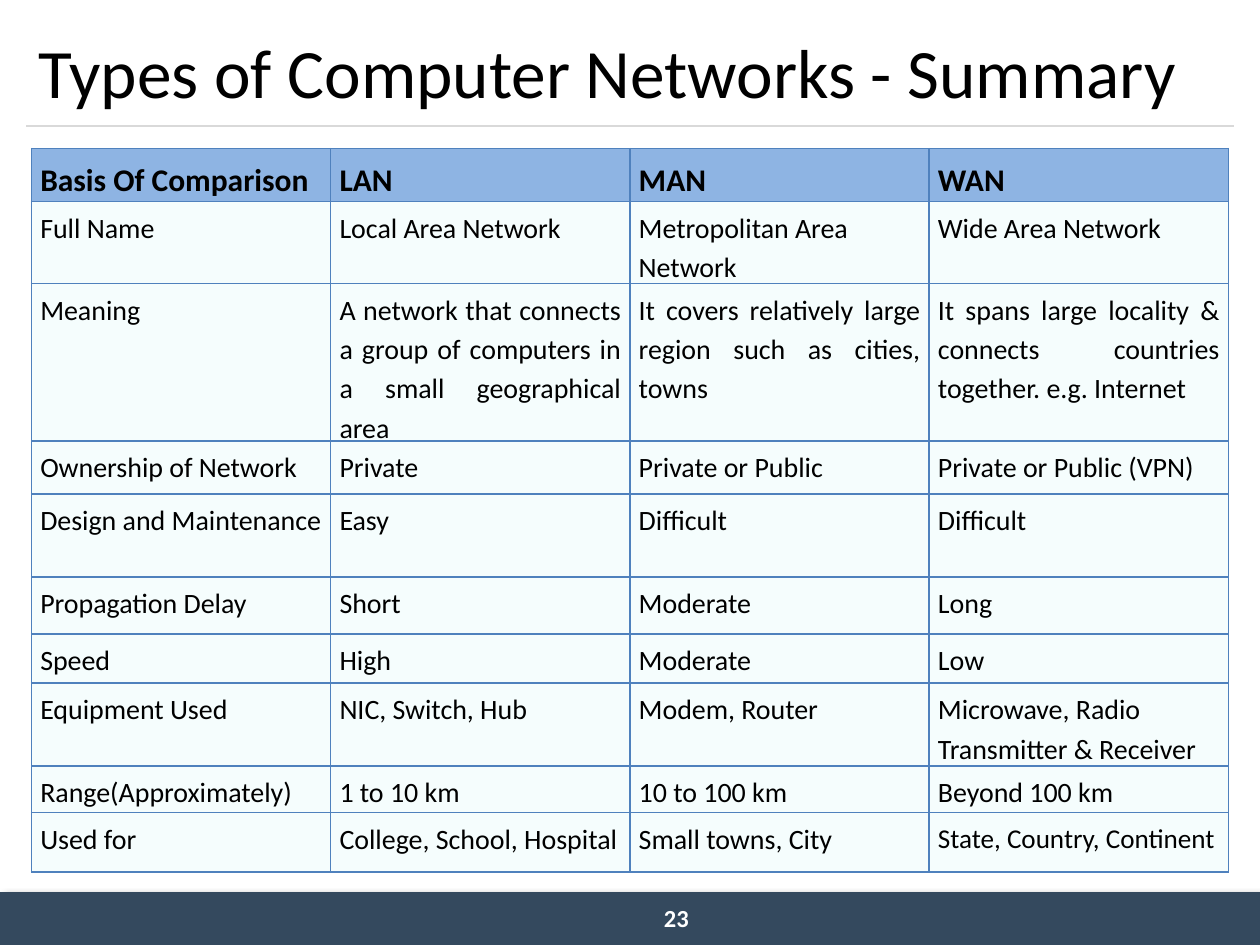
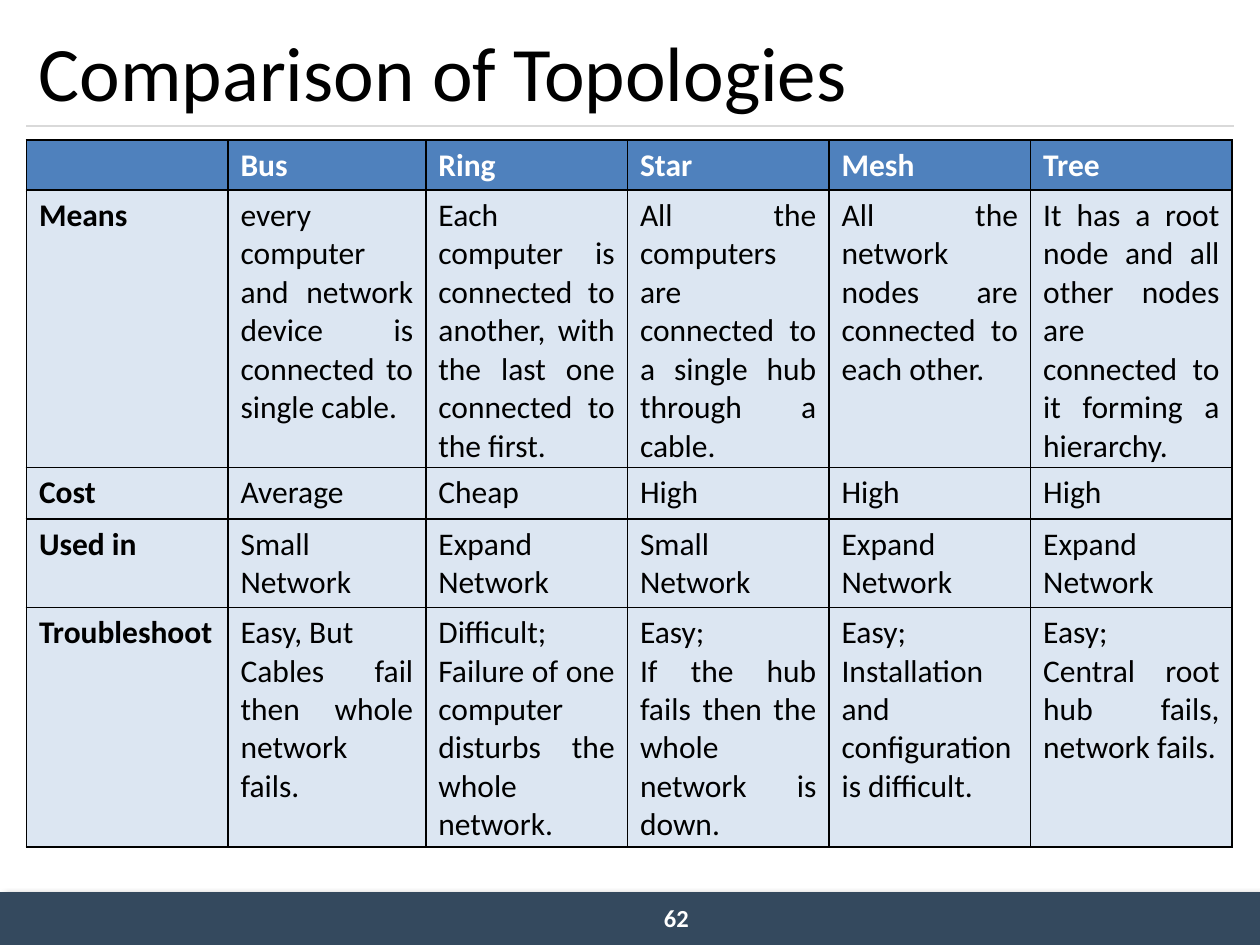
from lxml import etree
from pptx import Presentation
from pptx.dml.color import RGBColor
from pptx.enum import shapes, text
from pptx.oxml import ns
from pptx.util import Inches, Pt

COLORS = {
    "band": "34495E", "rule": "D9D9D9", "black": "000000", "white": "FFFFFF",
    "network_line": "4F81BD", "network_head": "8EB4E3", "network_body": "F5FDFD",
    "topology_head": "4F81BD", "topology_body": "DCE6F2",
}
FONT = "Calibri"

NETWORK_COLUMNS = [9.5 / 4] * 4
NETWORK_FORMAT = {
    "fill": "network_body", "line": "network_line", "size": 16, "spacing": 1.15,
    "margins": (0.07, 0.04),
}
NETWORK_HEAD = {"fill": "network_head", "size": 18, "bold": True, "bottom": 2,
                "anchor": text.MSO_ANCHOR.MIDDLE}
JUSTIFIED = {"align": text.PP_ALIGN.JUSTIFY}
# Each row: top, height, cell texts, format changes
NETWORK_ROWS = [
    (1.18, 0.47, ["Basis Of Comparison", "LAN", "MAN", "WAN"], NETWORK_HEAD),
    (1.6, 0.67, ["Full Name", "Local Area Network", "Metropolitan Area Network",
                 "Wide Area Network"], {}),
    (2.25, 1.28, ["Meaning",
                  "A network that connects a group of computers in a small geographical area",
                  "It covers relatively large region such as cities, towns",
                  "It spans large locality & connects countries together. e.g. Internet"],
     JUSTIFIED),
    (3.5, 0.47, ["Ownership of Network", "Private", "Private or Public",
                 "Private or Public (VPN)"], {}),
    (3.92, 0.67, ["Design and Maintenance", "Easy", "Difficult", "Difficult"], {}),
    (4.58, 0.47, ["Propagation Delay", "Short", "Moderate", "Long"], {}),
    (5.03, 0.47, ["Speed", "High", "Moderate", "Low"], {}),
    (5.42, 0.67, ["Equipment Used", "NIC, Switch, Hub", "Modem, Router",
                  "Microwave, Radio Transmitter & Receiver"], {}),
    (6.08, 0.36, ["Range(Approximately)", "1 to 10 km", "10 to 100 km",
                  "Beyond 100 km"], {}),
    (6.45, 0.47, ["Used for", "College, School, Hospital", "Small towns, City",
                  "State, Country, Continent"], {"last_size": 15.5}),
]

TOPOLOGY_COLUMNS = [1.6, 1.57, 1.6, 1.6, 1.6, 1.6]
TOPOLOGY_FORMAT = {"fill": "topology_body", "line": "black", "size": 18,
                   "first_bold": True}
TOPOLOGY_HEAD = {"fill": "topology_head", "color": "white", "bold": True}
TOPOLOGY_ROWS = [
    (1.11, 0.41, ["", "Bus", "Ring", "Star", "Mesh", "Tree"], TOPOLOGY_HEAD),
    (1.51, 2.2, ["Means",
                 "every computer and network device is connected to single cable.",
                 "Each computer is connected to another, with the last one "
                 "connected to the first.",
                 "All the computers are connected to a single hub through a cable.",
                 "All the network nodes are connected to each other.",
                 "It has a root node and all other nodes are connected to it "
                 "forming a hierarchy."], JUSTIFIED),
    (3.71, 0.41, ["Cost", "Average", "Cheap", "High", "High", "High"], {}),
    (4.12, 0.7, ["Used in", "Small Network", "Expand Network", "Small Network",
                 "Expand Network", "Expand Network"], {}),
    (4.82, 1.9, ["Troubleshoot",
                 "Easy, But\nCables fail then whole network fails.",
                 "Difficult; Failure of one computer disturbs the whole network.",
                 "Easy;\nIf the hub fails then the whole network is down.",
                 "Easy;\nInstallation and configuration is difficult.",
                 "Easy;\nCentral root hub fails, network fails."], JUSTIFIED),
]


def rgb(name):
    return RGBColor.from_string(COLORS[name])


def add_element(parent, tag, **attributes):
    return etree.SubElement(parent, ns.qn(tag), attributes)


class Deck:
    """Holds the shared style and the slide being built."""

    def __init__(self):
        self.presentation = Presentation()
        self.presentation.slide_width = Inches(10)
        self.presentation.slide_height = Inches(7.5)
        self.slide = None

    def add_slide(self, title, title_size, number):
        layout = self.presentation.slide_layouts[6]
        self.slide = self.presentation.slides.add_slide(layout)
        self.add_band()
        self.add_rule()
        self.add_text(number, (5.17, 7.12, 0.58, 0.34), size=14, color="white", bold=True)
        self.add_text(title, (0.21, 0.12, 9.58, 0.88), size=title_size,
                      anchor=text.MSO_ANCHOR.MIDDLE)

    def add_band(self):
        band = self.slide.shapes.add_shape(
            shapes.MSO_SHAPE.RECTANGLE, Inches(0), Inches(7.08), Inches(10), Inches(0.42))
        band.fill.solid()
        band.fill.fore_color.rgb = rgb("band")
        band.line.fill.background()
        band.shadow.inherit = False
        effects = band._element.spPr.find(ns.qn("a:effectLst"))
        shadow = add_element(effects, "a:outerShdw", blurRad=str(Pt(4)), dist=str(Pt(3)),
                             dir="2700000", algn="tl", rotWithShape="0")
        color = add_element(shadow, "a:srgbClr", val=COLORS["black"])
        add_element(color, "a:alpha", val="40000")

    def add_rule(self):
        rule = self.slide.shapes.add_connector(
            shapes.MSO_CONNECTOR.STRAIGHT, Inches(0.21), Inches(1), Inches(9.79), Inches(1))
        rule.line.color.rgb = rgb("rule")
        rule.line.width = Pt(0.75)
        add_element(rule._element.spPr, "a:effectLst")

    def add_text(self, words, box, anchor=text.MSO_ANCHOR.TOP, **style):
        frame = self.slide.shapes.add_textbox(*map(Inches, box)).text_frame
        frame.word_wrap = True
        frame.vertical_anchor = anchor
        self.fill_text(frame, words, **style)

    def fill_text(self, frame, words, size, color="black", bold=False, align=None,
                  spacing=None):
        frame.text = words
        font_values = {"name": FONT, "size": Pt(size), "bold": bold}
        for paragraph in frame.paragraphs:
            paragraph.alignment = align
            paragraph.line_spacing = spacing
            for run in paragraph.runs:
                for name, value in font_values.items():
                    setattr(run.font, name, value)
                run.font.color.rgb = rgb(color)

    def add_rows(self, left, columns, rows, base):
        """Stack one-row tables, each at its own top."""
        for top, height, words, changes in rows:
            self.add_row(left, top, height, columns, words, {**base, **changes})

    def add_row(self, left, top, height, columns, words, style):
        frame = self.slide.shapes.add_table(
            1, len(columns), Inches(left), Inches(top), Inches(sum(columns)), Inches(height))
        table = frame.table
        table.first_row = table.horz_banding = False
        for index, (width, content) in enumerate(zip(columns, words)):
            table.columns[index].width = Inches(width)
            cell = table.cell(0, index)
            self.style_cell(cell, style)
            size = style["size"]
            if index == len(columns) - 1:
                size = style.get("last_size", size)
            bold = style.get("bold", index == 0 and style.get("first_bold", False))
            self.fill_text(cell.text_frame, content, size, style.get("color", "black"),
                           bold, style.get("align"), style.get("spacing"))

    def style_cell(self, cell, style):
        side, end = map(Inches, style.get("margins", (0.1, 0.05)))
        values = {"margin_left": side, "margin_right": side, "margin_top": end,
                  "margin_bottom": end,
                  "vertical_anchor": style.get("anchor", text.MSO_ANCHOR.TOP)}
        for name, value in values.items():
            setattr(cell, name, value)
        properties = cell._tc.get_or_add_tcPr()
        for edge in "LRTB":
            width = style.get("bottom", 1) if edge == "B" else 1
            line = add_element(properties, f"a:ln{edge}", w=str(Pt(width)))
            fill = add_element(line, "a:solidFill")
            add_element(fill, "a:srgbClr", val=COLORS[style["line"]])
        cell.fill.solid()
        cell.fill.fore_color.rgb = rgb(style["fill"])


def main():
    deck = Deck()
    deck.add_slide("Types of Computer Networks - Summary", 39.6, "23")
    deck.add_rows(0.25, NETWORK_COLUMNS, NETWORK_ROWS, NETWORK_FORMAT)
    deck.add_slide("Comparison of Topologies", 44, "62")
    deck.add_rows(0.21, TOPOLOGY_COLUMNS, TOPOLOGY_ROWS, TOPOLOGY_FORMAT)
    deck.presentation.save("out.pptx")


if __name__ == "__main__":
    main()
